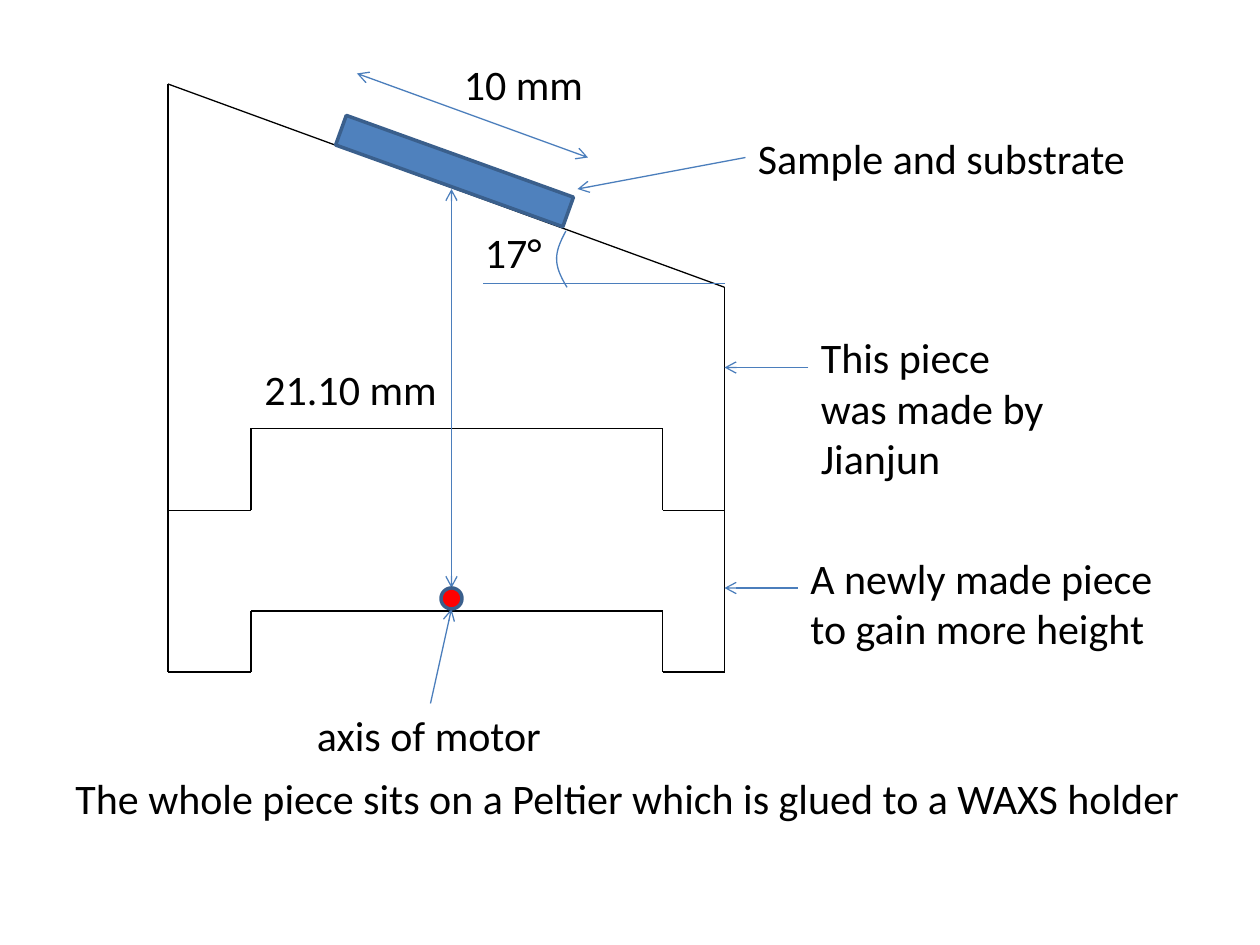
from itertools import pairwise

from lxml.etree import SubElement
from pptx import Presentation
from pptx.dml.color import RGBColor
from pptx.enum.shapes import MSO_CONNECTOR as Connector, MSO_SHAPE as Shape
from pptx.enum.text import MSO_AUTO_SIZE as AutoSize
from pptx.oxml.ns import qn
from pptx.util import Inches, Pt

BLACK = RGBColor(0x00, 0x00, 0x00)
BLUE = RGBColor(0x4B, 0x7E, 0xBC)
SAMPLE = RGBColor(0x4F, 0x81, 0xBD)
EDGE = RGBColor(0x3A, 0x5F, 0x8C)
RED = RGBColor(0xFF, 0x00, 0x00)

LEFT, NOTCH_LEFT, NOTCH_RIGHT, RIGHT = 16, 23.9, 63.1, 69
TOP, SLOPE_END, JOINT, BOTTOM = 8, 27.36, 48.6, 64
UPPER_NOTCH, LOWER_NOTCH = 40.8, 58.2
AXIS = 43


class Diagram:
    font = "Calibri"
    size = Pt(24)
    thin = Pt(0.75)
    thick = Pt(2)
    cell = Inches(1 / 12)

    def __init__(self, page):
        self.page = page

    def grid(self, *cells):
        return [round(value * self.cell) for value in cells]

    def line(self, start, end, color=BLACK, head=False, tail=False):
        line = self.page.shapes.add_connector(
            Connector.STRAIGHT, *self.grid(*start, *end))
        line.line.color.rgb = color
        line.line.width = self.thin
        properties = line._element.spPr
        outline = properties.find(qn("a:ln"))
        for name, wanted in (("a:headEnd", head), ("a:tailEnd", tail)):
            if wanted:
                SubElement(outline, qn(name), type="arrow")
        SubElement(properties, qn("a:effectLst"))

    def outline(self, *points):
        for start, end in pairwise(points):
            self.line(start, end)

    def curve(self, *controls, steps=24):
        points = []
        for step in range(steps + 1):
            t = step / steps
            weights = ((1 - t) ** 3, 3 * t * (1 - t) ** 2, 3 * t * t * (1 - t), t ** 3)
            points.append(self.grid(*(
                sum(w * value for w, value in zip(weights, axis))
                for axis in zip(*controls))))
        builder = self.page.shapes.build_freeform(*points[0])
        builder.add_line_segments(points[1:], close=False)
        arc = builder.convert_to_shape()
        arc.shadow.inherit = False
        arc.fill.background()
        arc.line.color.rgb = BLUE
        arc.line.width = self.thin

    def solid(self, kind, area, fill, rotation=0):
        shape = self.page.shapes.add_shape(kind, *self.grid(*area))
        shape.shadow.inherit = False
        shape.rotation = rotation
        shape.fill.solid()
        shape.fill.fore_color.rgb = fill
        shape.line.color.rgb = EDGE
        shape.line.width = self.thick

    def label(self, text, area, wrap=False):
        box = self.page.shapes.add_textbox(*self.grid(*area))
        frame = box.text_frame
        frame.text = text
        frame.word_wrap = wrap
        frame.auto_size = AutoSize.SHAPE_TO_FIT_TEXT
        for para in frame.paragraphs:
            for span in para.runs:
                span.font.name = self.font
                span.font.size = self.size
                span.font.color.rgb = BLACK


deck = Presentation()
deck.slide_width = Inches(10)
deck.slide_height = Inches(7.5)
diagram = Diagram(deck.slides.add_slide(deck.slide_layouts[6]))

diagram.outline(
    (NOTCH_LEFT, BOTTOM), (LEFT, BOTTOM), (LEFT, TOP),
    (RIGHT, SLOPE_END), (RIGHT, BOTTOM), (NOTCH_RIGHT, BOTTOM))
for notch, base in ((LOWER_NOTCH, BOTTOM), (UPPER_NOTCH, JOINT)):
    diagram.outline(
        (NOTCH_LEFT, base), (NOTCH_LEFT, notch),
        (NOTCH_RIGHT, notch), (NOTCH_RIGHT, base))
diagram.line((LEFT, JOINT), (NOTCH_LEFT, JOINT))
diagram.line((NOTCH_RIGHT, JOINT), (RIGHT, JOINT))

diagram.line((RIGHT, 27), (46, 27), BLUE)
diagram.curve((53.9, 22), (52.7, 24.2), (52.7, 25.2), (54, 27.36))

for start, end in (
    ((41, 67), (AXIS, 58)),
    ((76, 56), (RIGHT, 56)),
    ((77, 35), (RIGHT, 35)),
    ((71, 15), (55, 18)),
):
    diagram.line(start, end, BLUE, tail=True)
for start, end in (((AXIS, 56), (AXIS, 18)), ((34, 7), (56, 15))):
    diagram.line(start, end, BLUE, head=True, tail=True)

diagram.solid(Shape.RECTANGLE, (31.8, 14.8, 23, 3), SAMPLE, 19.8)
diagram.solid(Shape.OVAL, (AXIS - 1, 56, 2, 2), RED)

for text, area in (
    ("17°", (45, 21, 7.9, 6)),
    ("axis of motor", (29, 67, 23.9, 6)),
    ("A newly made piece\nto gain more height", (76, 52, 35.3, 10.9)),
    ("Sample and substrate", (71, 12, 37.7, 6)),
    ("10 mm", (43, 5, 13.8, 6)),
    ("The whole piece sits on a Peltier which is glued to a WAXS holder",
     (6, 73, 108.6, 6)),
    ("21.10 mm", (24, 34, 19, 6)),
):
    diagram.label(text, area)
diagram.label("This piece was made by Jianjun", (77, 31, 25, 15.7), wrap=True)

deck.save("out.pptx")
